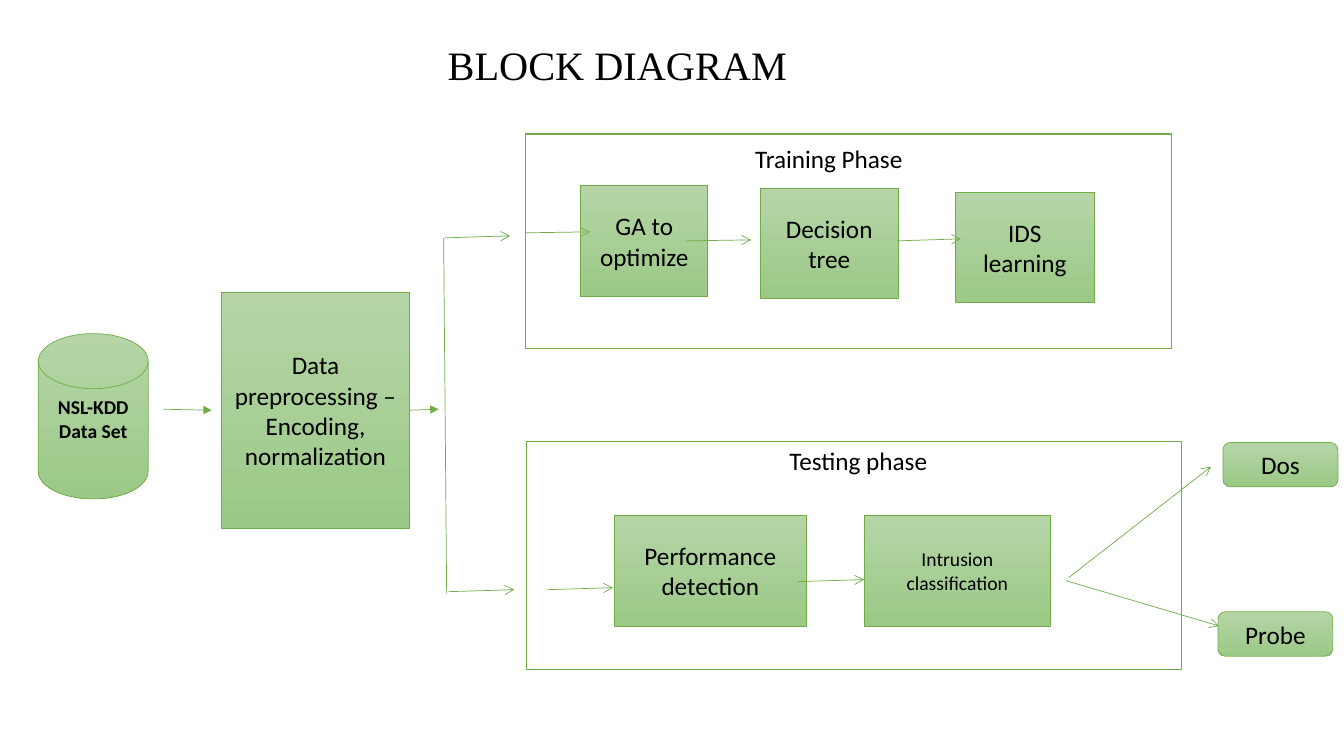
from dataclasses import dataclass

from lxml import etree
from pptx import Presentation
from pptx.dml.color import RGBColor
from pptx.enum.shapes import MSO_CONNECTOR, MSO_SHAPE
from pptx.enum.text import MSO_ANCHOR, MSO_AUTO_SIZE, PP_ALIGN
from pptx.oxml.ns import qn
from pptx.util import Inches, Pt

RECT = MSO_SHAPE.RECTANGLE
ROUNDED = MSO_SHAPE.ROUNDED_RECTANGLE
CYLINDER = MSO_SHAPE.FLOWCHART_MAGNETIC_DISK
STRAIGHT = MSO_CONNECTOR.STRAIGHT
LEFT, CENTER = PP_ALIGN.LEFT, PP_ALIGN.CENTER
TOP, MIDDLE = MSO_ANCHOR.TOP, MSO_ANCHOR.MIDDLE

BLACK = RGBColor(0x00, 0x00, 0x00)
WHITE = RGBColor(0xFF, 0xFF, 0xFF)
GREEN = RGBColor(0x70, 0xAD, 0x47)
LIGHT_GREEN = RGBColor(0xB5, 0xD5, 0xA7)
DEEP_GREEN = RGBColor(0x9C, 0xC9, 0x87)
TITLE_ONLY = 5


@dataclass(frozen=True)
class Box:
    left: float
    top: float
    width: float
    height: float

    def lengths(self):
        return [Inches(v) for v in (self.left, self.top, self.width, self.height)]


@dataclass(frozen=True)
class Block:
    text: str
    box: Box
    kind: int = RECT
    size: float = 18
    bold: bool = False
    bottom_inset: float = 0.05


@dataclass(frozen=True)
class Flow:
    start: tuple[float, float]
    end: tuple[float, float]
    head: str = "arrow"


PHASE_FRAMES = [Box(5.21, 1.33, 6.41, 2.13), Box(5.22, 4.38, 6.5, 2.26)]
PHASE_LABELS = [
    ("Training Phase", Box(7.39, 1.37, 2.91, 0.4)),
    ("Testing phase", Box(7.73, 4.37, 1.99, 0.4)),
]
BLOCKS = [
    Block("Data preprocessing – Encoding, normalization", Box(2.2, 2.9, 1.86, 2.34)),
    Block("NSL-KDD Data Set", Box(0.38, 3.31, 1.09, 1.64), CYLINDER, 14, True, 0.28),
    # Training phase
    Block("GA to optimize", Box(5.76, 1.84, 1.26, 1.1)),
    Block("Decision tree", Box(7.54, 1.87, 1.37, 1.09)),
    Block("IDS learning", Box(9.48, 1.91, 1.37, 1.09)),
    # Testing phase
    Block("Performance detection", Box(6.09, 5.11, 1.91, 1.1)),
    Block("Intrusion classification", Box(8.57, 5.11, 1.85, 1.1), size=14),
    # Attack classes
    Block("Dos", Box(12.13, 4.39, 1.14, 0.44), ROUNDED),
    Block("Probe", Box(12.08, 6.07, 1.14, 0.44), ROUNDED),
]
FLOWS = [
    # Data set to the two phases
    Flow((1.62, 4.06), (2.1, 4.07), "triangle"),
    Flow((4.06, 4.07), (4.35, 4.06), "triangle"),
    Flow((4.4, 2.36), (4.43, 5.89), "none"),
    Flow((4.41, 2.36), (5.06, 2.34)),
    Flow((4.45, 5.87), (5.1, 5.85)),
    # Inside the training phase
    Flow((5.21, 2.31), (5.85, 2.3)),
    Flow((6.8, 2.39), (7.45, 2.38)),
    Flow((8.89, 2.39), (9.53, 2.37)),
    # Inside the testing phase
    Flow((5.43, 5.85), (6.08, 5.83)),
    Flow((7.92, 5.77), (8.57, 5.75)),
    # To the attack classes
    Flow((10.6, 5.73), (12.01, 4.63)),
    Flow((10.57, 5.76), (12.09, 6.21)),
]


def write(shape, text: str, *, size: float = 18, font: str = "Calibri",
          bold: bool = False, align=CENTER, anchor=MIDDLE) -> None:
    frame = shape.text_frame
    frame.word_wrap = True
    frame.auto_size = MSO_AUTO_SIZE.NONE
    frame.vertical_anchor = anchor
    paragraph = frame.paragraphs[0]
    paragraph.alignment = align
    run = paragraph.add_run()
    run.text = text
    run.font.name = font
    run.font.size = Pt(size)
    run.font.bold = bold
    run.font.color.rgb = BLACK


def add_outlined(slide, kind: int, box: Box, line_width: float):
    shape = slide.shapes.add_shape(kind, *box.lengths())
    shape.shadow.inherit = False
    shape.line.color.rgb = GREEN
    shape.line.width = Pt(line_width)
    return shape


def add_frame(slide, box: Box) -> None:
    frame = add_outlined(slide, RECT, box, 1)
    frame.fill.solid()
    frame.fill.fore_color.rgb = WHITE


def add_block(slide, block: Block) -> None:
    shape = add_outlined(slide, block.kind, block.box, 0.5)
    shape.fill.gradient()
    shape.fill.gradient_angle = 270  # counter-clockwise: light at the top
    for stop, color in zip(shape.fill.gradient_stops, (LIGHT_GREEN, DEEP_GREEN)):
        stop.color.rgb = color
    write(shape, block.text, size=block.size, bold=block.bold)
    shape.text_frame.margin_bottom = Inches(block.bottom_inset)


def add_flow(slide, flow: Flow) -> None:
    ends = [Inches(v) for v in flow.start + flow.end]
    connector = slide.shapes.add_connector(STRAIGHT, *ends)
    connector.line.color.rgb = GREEN
    connector.line.width = Pt(0.5)
    etree.SubElement(connector.line._get_or_add_ln(), qn("a:tailEnd"), type=flow.head)
    etree.SubElement(connector._element.spPr, qn("a:effectLst"))


def add_title(slide, text: str) -> None:
    title = slide.shapes.title
    title.left, title.top, title.width, title.height = Box(4.34, 0.4, 8.07, 0.53).lengths()
    write(title, text, size=28.8, font="Times New Roman", align=LEFT)
    title.text_frame.paragraphs[0].line_spacing = 0.9


def main() -> None:
    deck = Presentation()
    deck.slide_width, deck.slide_height = Inches(13.33), Inches(7.5)
    slide = deck.slides.add_slide(deck.slide_layouts[TITLE_ONLY])

    add_title(slide, "BLOCK DIAGRAM")
    for box in PHASE_FRAMES:
        add_frame(slide, box)
    for text, box in PHASE_LABELS:
        label = slide.shapes.add_textbox(*box.lengths())
        write(label, text, align=LEFT, anchor=TOP)
    for block in BLOCKS:
        add_block(slide, block)
    for flow in FLOWS:
        add_flow(slide, flow)

    deck.save("out.pptx")


if __name__ == "__main__":
    main()
